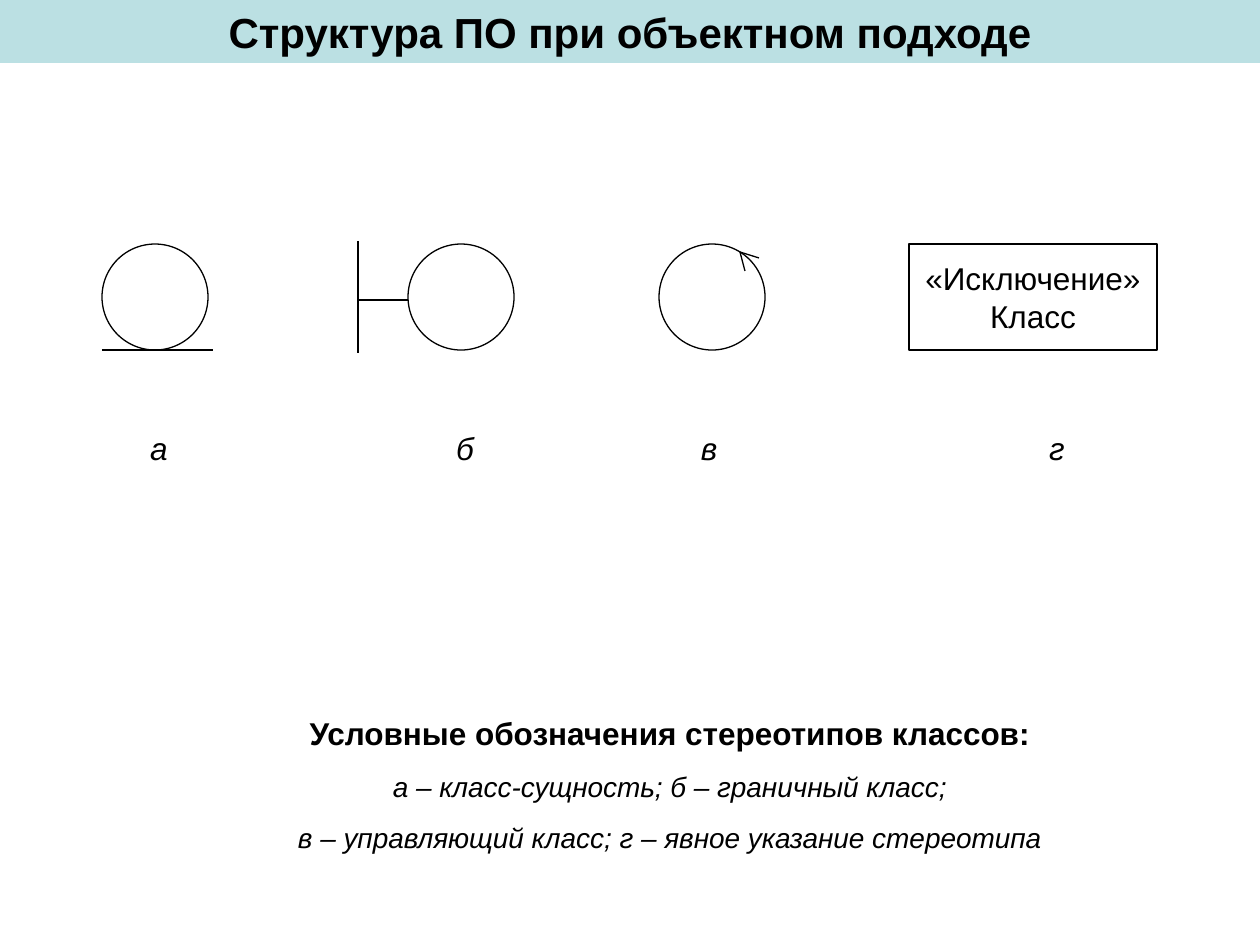
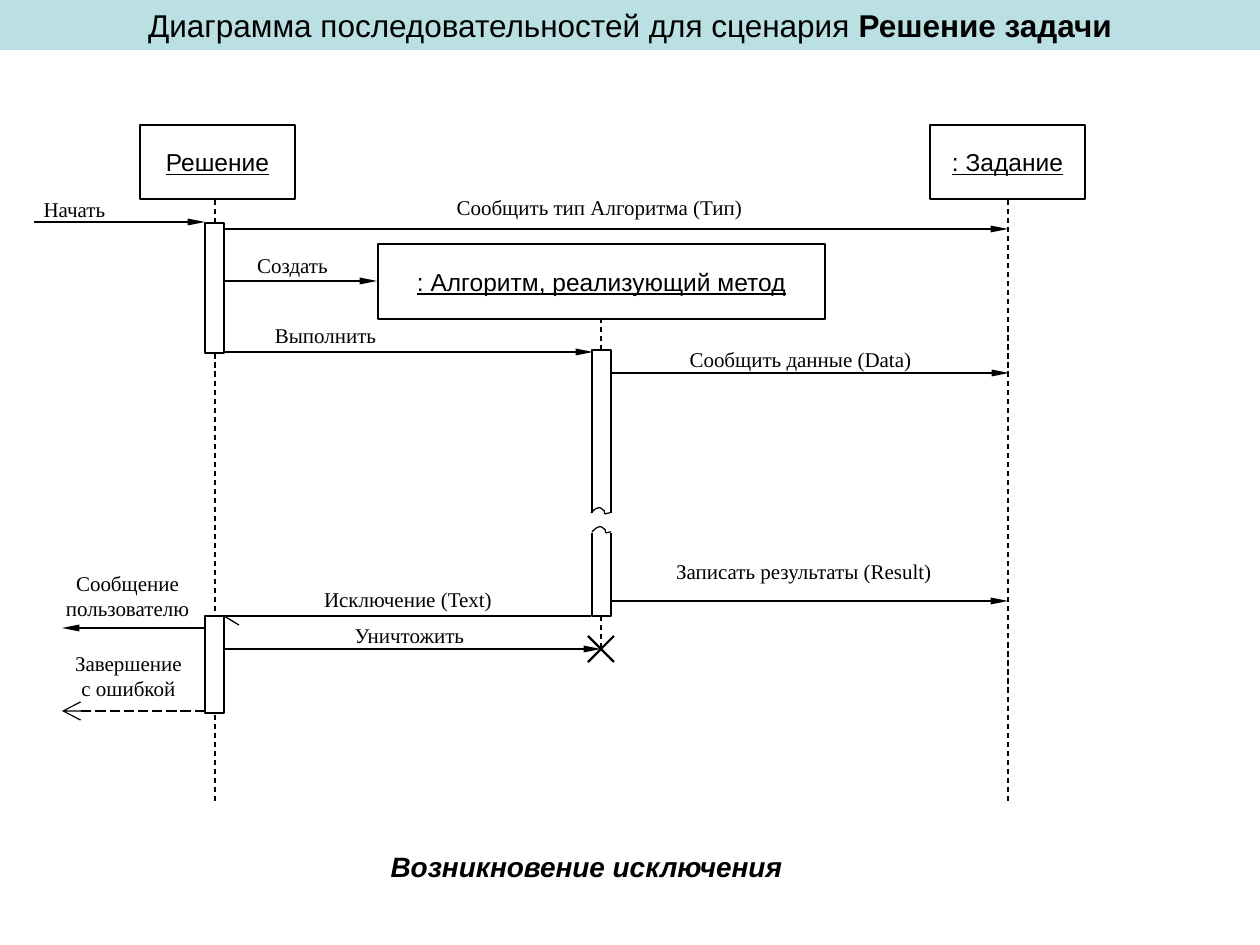
from lxml.etree import SubElement
from pptx import Presentation
from pptx.dml.color import RGBColor
from pptx.enum.dml import MSO_LINE
from pptx.enum.shapes import MSO_CONNECTOR, MSO_SHAPE
from pptx.enum.text import MSO_ANCHOR, MSO_AUTO_SIZE, PP_ALIGN
from pptx.oxml.ns import qn
from pptx.util import Pt

SCALE = 914400 / 126
BLACK, WHITE, BAND = "000000", "FFFFFF", "BBE0E3"
SANS, SERIF = "Arial", "Times New Roman"
SLIM, OPEN = ("triangle", "sm", "lg"), ("arrow", "lg", "lg")

STEREOTYPES_TITLE = [("Структура ПО при объектном подходе", True)]
SCENARIO_TITLE = [("Диаграмма последовательностей для сценария", False),
                  (" Решение задачи", True)]

CIRCLE_TOP, CIRCLE_SIZE = 244, 106
CIRCLE_LEFTS = [102, 408, 659]
SYMBOL_LINES = [(102, 350, 213, 350), (358, 241, 358, 353), (408, 300, 358, 300),
                (740, 252, 745, 271), (740, 252, 759, 258)]
EXCEPTION_BOX = (909, 244, 248, 106)
EXCEPTION_TEXT = ["«Исключение»", "Класс"]
LETTERS = [("а", 159), ("б", 465), ("в", 709), ("г", 1057)]
LEGEND = [("Условные обозначения стереотипов классов:", 18, True),
          ("а – класс-сущность; б – граничный класс;", 16, False),
          ("в – управляющий класс; г – явное указание стереотипа", 16, False)]

LIFELINES = [(215, 200, 801), (1008, 200, 802), (601, 318, 651)]
OBJECTS = [("Решение", (140, 125, 155, 74)),
           (": Задание", (930, 125, 155, 74)),
           (": Алгоритм, реализующий метод", (378, 244, 447, 75))]
BAR_WIDTH = 19
BARS = [(205, 223, 130), (205, 616, 97), (592, 350, 170), (592, 524, 92)]
GAP = (587, 514, 29, 18)
WAVE_STARTS = [(591, 513), (592, 532)]
WAVE = [(0, 0), (2, -2), (5, -5), (7, -5), (9, -6), (11, -4), (12, -3),
        (14, -3), (13, 0), (14, 1), (15, 1), (17, 0), (19, 0)]
MESSAGES = [
    ("Начать", (19, 190, 111), (34, 222, 205), SLIM),
    ("Сообщить тип Алгоритма (Тип)", (349, 188, 501), (224, 229, 1008), SLIM),
    ("Создать", (237, 246, 111), (223, 281, 377), SLIM),
    ("Выполнить", (258, 316, 135), (223, 352, 593), SLIM),
    ("Сообщить данные (Data)", (646, 340, 309), (611, 373, 1009), SLIM),
    ("Записать результаты (Result)", (620, 552, 368), (610, 601, 1008), SLIM),
    ("Исключение (Text)", (260, 580, 296), (591, 616, 224), None),
    ("Уничтожить", (339, 616, 141), (223, 649, 601), SLIM),
    ("Сообщение пользователю", (48, 564, 159), (204, 628, 62), SLIM),
    ("Завершение с ошибкой", (58, 644, 141), (205, 711, 62), OPEN),
]
HALF_ARROW = (224, 616, 239, 625)
CROSS_X, CROSS_Y, CROSS_HALF = 601, 649, 13


def color(value):
    return RGBColor.from_string(value)


def emu(*values):
    return [round(v * SCALE) for v in values]


def style_run(r, size, font=SANS, bold=False, italic=False, underline=False):
    r.font.name, r.font.size = font, Pt(size)
    r.font.bold, r.font.italic, r.font.underline = bold, italic, underline
    r.font.color.rgb = color(BLACK)


def write(tf, lines, size, wrap=True, **style):
    tf.word_wrap = wrap
    tf.text = "\n".join(lines)
    for p in tf.paragraphs:
        p.alignment = PP_ALIGN.CENTER
        style_run(p.runs[0], size, **style)


def add_text(s, box, lines, size, **style):
    tf = s.shapes.add_textbox(*emu(*box)).text_frame
    write(tf, lines, size, **style)
    return tf


def outline(sp, fill=None, line=BLACK):
    sp.shadow.inherit = False
    if fill:
        sp.fill.solid()
        sp.fill.fore_color.rgb = color(fill)
    else:
        sp.fill.background()
    sp.line.color.rgb = color(line)
    sp.line.width = Pt(0.75)


def add_box(s, box, kind=MSO_SHAPE.RECTANGLE, fill=None, line=BLACK):
    sp = s.shapes.add_shape(kind, *emu(*box))
    outline(sp, fill, line)
    return sp


def add_labelled(s, box, lines, size, **style):
    tf = add_box(s, box).text_frame
    tf.vertical_anchor = MSO_ANCHOR.MIDDLE
    write(tf, lines, size, wrap=False, **style)


def add_line(s, ends, width=0.75, dash=None, arrow=None):
    cxn = s.shapes.add_connector(MSO_CONNECTOR.STRAIGHT, *emu(*ends))
    cxn.line.color.rgb = color(BLACK)
    cxn.line.width = Pt(width)
    if dash:
        cxn.line.dash_style = dash
    if arrow:
        ln = cxn.line._get_or_add_ln()
        SubElement(ln, qn("a:tailEnd"), dict(zip(("type", "w", "len"), arrow)))
    SubElement(cxn._element.spPr, qn("a:effectLst"))


def add_wave(s, x, y, steps=6):
    points = []
    for i in range(0, len(WAVE) - 1, 3):
        for k in range(1, steps + 1):
            t = k / steps
            weights = ((1 - t) ** 3, 3 * t * (1 - t) ** 2, 3 * t * t * (1 - t), t ** 3)
            dx, dy = (sum(w * q[a] for w, q in zip(weights, WAVE[i:i + 4]))
                      for a in (0, 1))
            points.append(emu(x + dx, y + dy))
    fb = s.shapes.build_freeform(*emu(x, y))
    fb.add_line_segments(points, close=False)
    outline(fb.convert_to_shape())


def new_slide(prs, title, size, height):
    s = prs.slides.add_slide(prs.slide_layouts[5])
    sp = s.shapes.title
    sp.left, sp.top, sp.width, sp.height = emu(0, 0, 1260, height)
    sp.fill.solid()
    sp.fill.fore_color.rgb = color(BAND)
    tf = sp.text_frame
    tf.auto_size, tf.word_wrap = MSO_AUTO_SIZE.NONE, True
    tf.vertical_anchor = MSO_ANCHOR.TOP
    p = tf.paragraphs[0]
    p.alignment = PP_ALIGN.CENTER
    for text, bold in title:
        r = p.add_run()
        r.text = text
        style_run(r, size, bold=bold)
    return s


def build_stereotypes(prs):
    s = new_slide(prs, STEREOTYPES_TITLE, 24, 63)
    for left in CIRCLE_LEFTS:
        add_box(s, (left, CIRCLE_TOP, CIRCLE_SIZE, CIRCLE_SIZE), MSO_SHAPE.OVAL)
    for ends in SYMBOL_LINES:
        add_line(s, ends)
    add_labelled(s, EXCEPTION_BOX, EXCEPTION_TEXT, 18)
    for letter, center in LETTERS:
        add_text(s, (center - 30, 423, 60, 50), [letter], 18, italic=True)
    tf = add_text(s, (152, 708, 1036, 152), [text for text, _, _ in LEGEND], 16)
    for i, (p, (_, size, heading)) in enumerate(zip(tf.paragraphs, LEGEND)):
        style_run(p.runs[0], size, bold=heading, italic=not heading)
        if i:
            p.space_before = Pt(10)


def build_scenario(prs):
    s = new_slide(prs, SCENARIO_TITLE, 18, 50)
    add_text(s, (224, 843, 725, 47), ["Возникновение исключения"], 16,
             bold=True, italic=True)
    for x, top, bottom in LIFELINES:
        add_line(s, (x, top, x, bottom), dash=MSO_LINE.DASH)
    for name, box in OBJECTS:
        add_labelled(s, box, [name], 14, underline=True)
    for x, y, height in BARS:
        add_box(s, (x, y, BAR_WIDTH, height), fill=WHITE)
    add_box(s, GAP, fill=WHITE, line=WHITE)
    for x, y in WAVE_STARTS:
        add_wave(s, x, y)
    for text, (left, top, width), (start, y, end), arrow in MESSAGES:
        dash = MSO_LINE.LONG_DASH if arrow == OPEN else None
        add_line(s, (start, y, end, y), dash=dash, arrow=arrow)
        add_text(s, (left, top, width, 38), [text], 12, font=SERIF)
    add_line(s, HALF_ARROW)
    for d in (CROSS_HALF, -CROSS_HALF):
        add_line(s, (CROSS_X - CROSS_HALF, CROSS_Y - d,
                     CROSS_X + CROSS_HALF, CROSS_Y + d), width=1.25)


def main():
    prs = Presentation()
    prs.slide_width, prs.slide_height = emu(1260, 945)
    build_stereotypes(prs)
    build_scenario(prs)
    prs.save("out.pptx")


if __name__ == "__main__":
    main()
